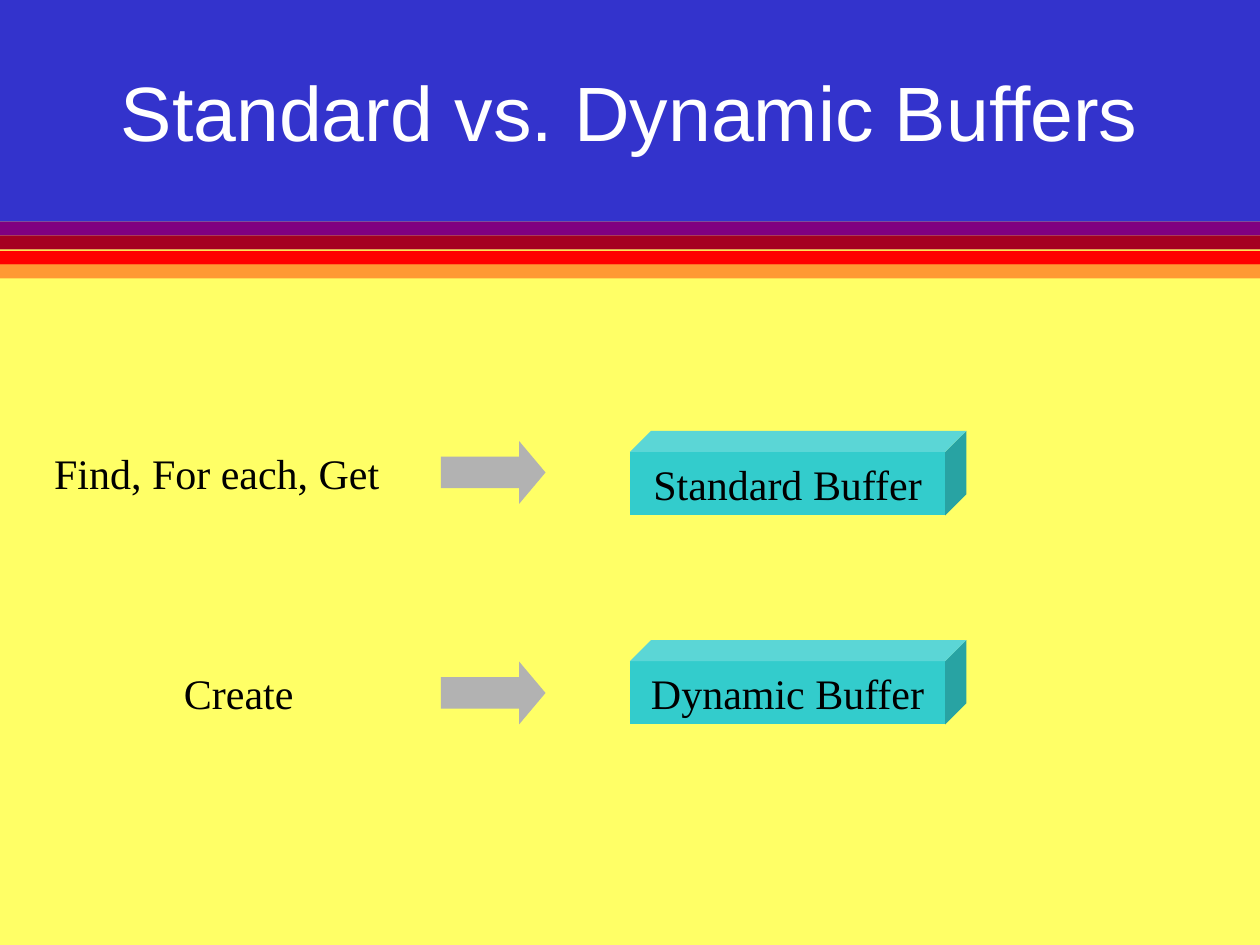
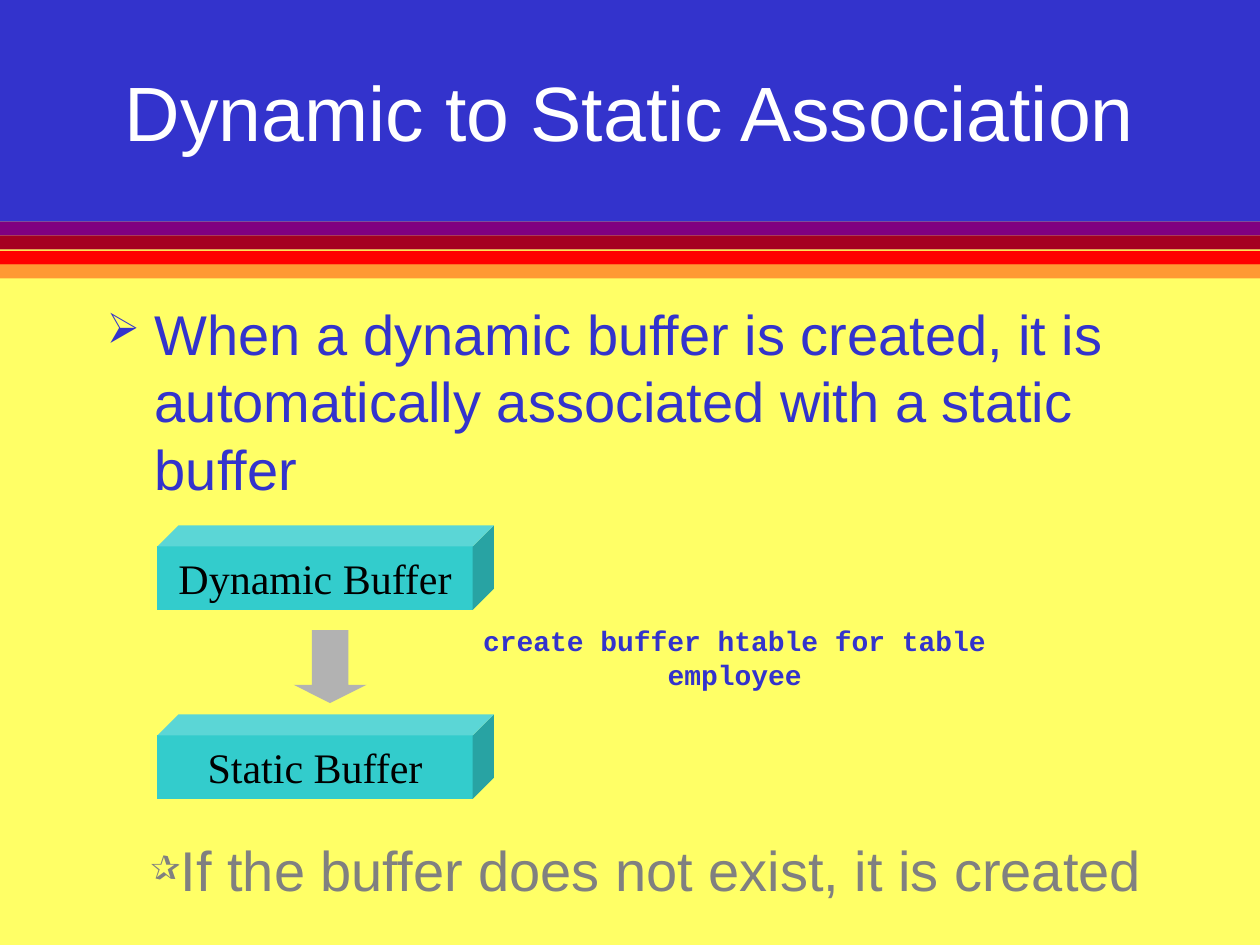
from lxml import etree
from pptx import Presentation
from pptx.dml.color import RGBColor
from pptx.enum.shapes import MSO_SHAPE as Preset
from pptx.enum.text import MSO_ANCHOR as Anchor, PP_ALIGN as Align
from pptx.oxml.ns import qn
from pptx.util import Inches, Pt

YELLOW, BLUE, TEAL = "FFFF66", "3333CC", "33CCCC"
SILVER, GREY, BLACK, WHITE = "B2B2B2", "808080", "000000", "FFFFFF"
SANS, SERIF, MONO = "Arial", "Times New Roman", "Courier New"
STRIPE_HEIGHT = 0.11
STRIPES = [(1.76, "800080"), (1.87, "A50021"), (1.99, "FF0000"), (2.1, "FF9933")]
CUBE_SIZE = (2.67, 0.67)


def color(value):
    return RGBColor.from_string(value)


def add_block(slide, preset, box, fill):
    shape = slide.shapes.add_shape(preset, *map(Inches, box))
    shape.shadow.inherit = False
    shape.fill.solid()
    shape.fill.fore_color.rgb = color(fill)
    shape.line.fill.background()
    return shape


def add_bullet(paragraph, character, bullet_color):
    properties = paragraph._p.get_or_add_pPr()
    holder = etree.SubElement(properties, qn("a:buClr"))
    etree.SubElement(holder, qn("a:srgbClr"), val=bullet_color)
    etree.SubElement(properties, qn("a:buSzPct"), val="75000")
    etree.SubElement(properties, qn("a:buChar"), char=character)


def write(shape, text, size, font, text_color, align=Align.CENTER,
          anchor=Anchor.MIDDLE, wrap=False, bullet=None, bold=False):
    frame = shape.text_frame
    frame.word_wrap = wrap
    frame.vertical_anchor = anchor
    paragraph = frame.paragraphs[0]
    paragraph.text = text
    paragraph.alignment = align
    if bullet:
        add_bullet(paragraph, bullet, text_color)
    paragraph.font.size = Pt(size)
    paragraph.font.name = font
    paragraph.font.bold = bold
    paragraph.font.color.rgb = color(text_color)
    return paragraph


def add_text(slide, box, *args, **options):
    return write(slide.shapes.add_textbox(*map(Inches, box)), *args, **options)


def add_cube(slide, left, top, label):
    cube = add_block(slide, Preset.CUBE, (left, top, *CUBE_SIZE), TEAL)
    write(cube, label, 24, SERIF, BLACK)


def add_base_slide(presentation, title):
    slide = presentation.slides.add_slide(presentation.slide_layouts[6])
    slide.background.fill.solid()
    slide.background.fill.fore_color.rgb = color(YELLOW)
    # Title band and the stripes under it
    add_block(slide, Preset.RECTANGLE, (0, 0, 10, 1.76), BLUE)
    for top, fill in STRIPES:
        add_block(slide, Preset.RECTANGLE, (0, top, 10, STRIPE_HEIGHT), fill)
    add_text(slide, (0.75, 0.25, 8.5, 1.25), title, 44, SANS, WHITE, wrap=True)
    return slide


def add_statement_row(slide, top, statement, label_left, label_width, cube_top, buffer):
    add_text(slide, (label_left, top, label_width, 0.5), statement, 24, SERIF, BLACK)
    arrow = add_block(slide, Preset.RIGHT_ARROW, (3.5, top, 0.83, 0.5), SILVER)
    arrow.adjustments[1] = 0.42
    add_cube(slide, 5, cube_top, buffer)


def add_association(slide, left, top):
    # Dynamic buffer pointing down to its static buffer
    add_cube(slide, left, top, "Dynamic Buffer")
    add_cube(slide, left, top + 1.5, "Static Buffer")
    arrow = add_block(slide, Preset.DOWN_ARROW, (left + 1.08, top + 0.83, 0.58, 0.58), SILVER)
    arrow.adjustments[1] = 0.25
    add_text(slide, (left + 1.89, top + 0.86, 5.38, 0.37),
             "create buffer htable for table employee", 16, MONO, BLUE, bold=True)


def build_buffers_slide(presentation):
    slide = add_base_slide(presentation, "Standard vs. Dynamic Buffers")
    add_statement_row(slide, 3.5, "Find, For each, Get", 0.33, 2.78, 3.42, "Standard Buffer")
    add_statement_row(slide, 5.25, "Create", 1.36, 1.07, 5.08, "Dynamic Buffer")


def build_association_slide(presentation):
    slide = add_base_slide(presentation, "Dynamic to Static Association")
    add_association(slide, 1.25, 4.17)
    # Bulleted statements
    paragraph = add_text(
        slide, (0.75, 2.33, 8.5, 1.75),
        "When a dynamic buffer is created, it is automatically associated with a static buffer",
        32, SANS, BLUE, align=Align.LEFT, anchor=Anchor.TOP, wrap=True, bullet="➢")
    properties = paragraph._p.get_or_add_pPr()
    properties.set("marL", str(Inches(0.38)))
    properties.set("indent", str(Inches(-0.38)))
    add_text(slide, (1.07, 6.58, 8.14, 0.64), "If the buffer does not exist, it is created",
             32, SANS, GREY, bullet="✰")


def main():
    presentation = Presentation()
    presentation.slide_width, presentation.slide_height = Inches(10), Inches(7.5)
    build_buffers_slide(presentation)
    build_association_slide(presentation)
    presentation.save("out.pptx")


if __name__ == "__main__":
    main()
